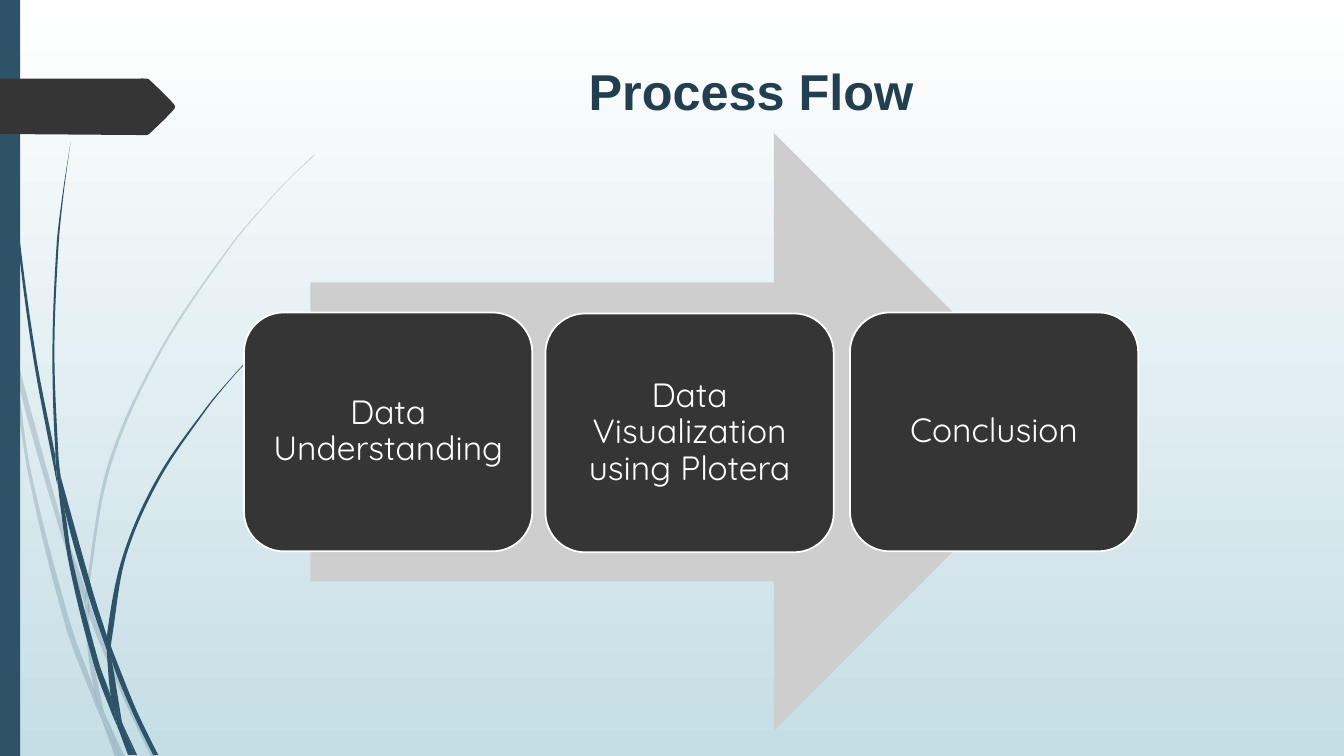
from math import dist
from lxml.etree import SubElement
from pptx import Presentation
from pptx.dml.color import RGBColor
from pptx.enum.shapes import MSO_SHAPE
from pptx.enum.text import MSO_ANCHOR, MSO_AUTO_SIZE, PP_ALIGN
from pptx.oxml.ns import qn
from pptx.util import Inches, Pt

COLS, ROWS = 13.33, 7.5
WIDE, HIGH = Inches(COLS), Inches(ROWS)
BLUE, DARK, GREY, WHITE = "2E5369", "353535", "CECECE", "FFFFFF"

CARDS = [
    (2.42, 3.1, "Data Understanding"),
    (5.41, 3.11, "Data Visualization using Plotera"),
    (8.43, 3.1, "Conclusion"),
]

PALE = [
    [(0.11, 3.5), (0.09, 3.22), (0, 2.82), (0, 2.99), (0.1, 3.44)],
    [(0.58, 5.22), (0.84, 5.99), (0.85, 5.86), (0.62, 5.2), (0.14, 3.45),
     (0.17, 3.76)],
    [(0.92, 6.07), (0.88, 5.96), (0.88, 6.1), (1.23, 6.94), (1.5, 7.51),
     (1.55, 7.51), (1.27, 6.92)],
    [(1.19, 7.51), (1.24, 7.51), (1.05, 7.11)],
    [(0.93, 6.83), (0.7, 6.19), (0.31, 4.69), (0.17, 3.76), (0.11, 3.5),
     (0.28, 4.7), (0.65, 6.21), (0.92, 6.93), (1.01, 7.14), (0.99, 7.07)],
    [(0.84, 5.99), (0.87, 6.46), (0.93, 6.83), (0.96, 6.92), (1.05, 7.11),
     (1.03, 7.06), (0.91, 6.46), (0.88, 6.1), (0.88, 6.08)],
    [(0.88, 5.84), (1.1, 4.62), (1.6, 3.49), (2.29, 2.45), (2.68, 1.98),
     (2.9, 1.75), (3.12, 1.54), (3.12, 1.53), (2.89, 1.75), (2.68, 1.97),
     (2.28, 2.44), (1.58, 3.48), (1.07, 4.61), (0.85, 5.84), (0.85, 5.86),
     (0.88, 5.96)],
    [(1.01, 7.14), (1.14, 7.51), (1.19, 7.51)],
    [(0.88, 6.08), (0.88, 6.1), (0.88, 5.96), (0.85, 5.86), (0.84, 5.99)],
    [(0.96, 6.92), (0.93, 6.83), (0.99, 7.07), (1.01, 7.14), (1.19, 7.51),
     (1.05, 7.11)],
]
DEEP = [
    [(0.07, 1.1), (0.17, 2.33), (0.33, 3.55), (0.56, 4.77), (0.57, 4.81),
     (0.55, 4.57), (0.55, 4.53), (0.36, 3.55), (0.19, 2.32), (0.08, 1.09),
     (0.05, 0.48), (0.04, 0), (0.03, 0), (0.04, 0.48)],
    [(0.88, 5.92), (1.06, 6.45), (1.06, 6.33), (1.06, 6.31), (0.93, 5.9),
     (0.6, 4.72), (0.64, 5.05)],
    [(1.13, 6.49), (1.1, 6.41), (1.11, 6.56), (1.32, 7.08), (1.52, 7.49),
     (1.57, 7.49), (1.36, 7.06)],
    [(1.1, 6.91), (0.98, 6.57), (0.72, 5.56), (0.64, 5.05), (0.57, 4.77),
     (0.68, 5.57), (0.93, 6.59), (1.11, 7.08), (1.17, 7.22), (1.16, 7.17)],
    [(0.6, 4.72), (0.58, 4.53), (0.54, 3.49), (0.58, 2.45), (0.63, 1.93),
     (0.7, 1.41), (0.62, 1.93), (0.56, 2.45), (0.52, 3.49), (0.55, 4.49)],
    [(1.33, 7.49), (1.36, 7.49), (1.22, 7.19)],
    [(0.57, 4.77), (0.64, 5.05), (0.6, 4.72), (0.55, 4.49), (0.55, 4.53)],
    [(1.11, 6.33), (1.25, 5.52), (1.58, 4.76), (2.05, 4.06), (2.31, 3.74),
     (2.45, 3.59), (2.61, 3.44), (2.6, 3.44), (2.45, 3.58), (2.31, 3.73),
     (2.04, 4.05), (1.56, 4.74), (1.22, 5.51), (1.06, 6.31), (1.1, 6.41)],
    [(1.17, 7.22), (1.27, 7.49), (1.31, 7.49)],
    [(1.06, 6.45), (1.1, 6.91), (1.16, 7.06), (1.22, 7.19), (1.21, 7.16),
     (1.11, 6.56), (1.09, 6.51)],
    [(1.06, 6.45), (1.09, 6.51), (1.11, 6.56), (1.1, 6.41), (1.06, 6.31),
     (1.06, 6.33)],
    [(1.16, 7.06), (1.1, 6.91), (1.16, 7.17), (1.17, 7.22), (1.3, 7.49),
     (1.33, 7.49), (1.22, 7.19)],
]
TAG = [(1.73, 1.08), (1.48, 1.33), (1.46, 1.34), (1.36, 1.34), (0, 1.33),
       (0, 0.78), (1.36, 0.78), (1.46, 0.78), (1.48, 0.79), (1.73, 1.04)]


def col(n):
    return round(WIDE * n / COLS)


def row(n):
    return round(HIGH * n / ROWS)


def tint(target, code):
    target.rgb = RGBColor.from_string(code)


def paint(shape, code, alpha=None):
    shape.shadow.inherit = False
    shape.fill.solid()
    tint(shape.fill.fore_color, code)
    shape.line.fill.background()
    if alpha:
        clr = shape.fill._xPr.find(qn("a:solidFill"))[0]
        SubElement(clr, qn("a:alpha")).set("val", str(alpha * 1000))


def block(slide, kind, x, y, w, h, code):
    shape = slide.shapes.add_shape(kind, col(x), row(y), col(w), row(h))
    paint(shape, code)
    return shape


def write(frame, text, size, font, code, bold=False):
    para = frame.paragraphs[0]
    para.alignment = PP_ALIGN.CENTER
    run = para.add_run()
    run.text = text
    run.font.size, run.font.name, run.font.bold = Pt(size), font, bold
    tint(run.font.color, code)
    return para


def unit(a, b):
    span = dist(a, b) or 1
    return (b[0] - a[0]) / span, (b[1] - a[1]) / span


def slope(a, b, c):
    (ax, ay), (bx, by) = unit(a, b), unit(b, c)
    return unit(a, c) if ax * bx + ay * by > 0.5 else (0, 0)


def shift(spot, way, size):
    return spot[0] + way[0] * size, spot[1] + way[1] * size


def outline(slide, knots, code, alpha=None):
    edge = [(col(x), row(y)) for x, y in knots]
    pen = slide.shapes.build_freeform(*edge[0])
    pen.add_line_segments(edge[1:] + edge[:1], close=True)
    shape = pen.convert_to_shape()
    paint(shape, code, alpha)
    ways = [slope(edge[i - 1], spot, edge[(i + 1) % len(edge)])
            for i, spot in enumerate(edge)]
    lines = list(shape._element.iter(qn("a:lnTo")))
    for i, line in enumerate(lines):
        j = (i + 1) % len(edge)
        third = dist(edge[i], edge[j]) / 3
        bend = (shift(edge[i], ways[i], third), shift(edge[j], ways[j], -third))
        curve = line.makeelement(qn("a:cubicBezTo"))
        for x, y in (*bend, edge[j]):
            spot = SubElement(curve, qn("a:pt"))
            spot.set("x", str(round(x - shape.left)))
            spot.set("y", str(round(y - shape.top)))
        line.getparent().replace(line, curve)


def card(slide, x, y, text):
    shape = block(slide, MSO_SHAPE.ROUNDED_RECTANGLE, x, y, 2.86, 2.37, DARK)
    tint(shape.line.color, WHITE)
    shape.line.width = Pt(1.25)
    frame = shape.text_frame
    frame.word_wrap = True
    frame.vertical_anchor = MSO_ANCHOR.MIDDLE
    frame.margin_left = frame.margin_right = col(0.1)
    frame.margin_top = frame.margin_bottom = row(0.1)
    write(frame, text, 24, "Quicksand", WHITE).line_spacing = 0.9


def heading(slide, text):
    title = slide.shapes.title
    title.left, title.top = col(4.87), row(0.55)
    title.width, title.height = col(5.16), row(0.71)
    frame = title.text_frame
    frame.word_wrap = True
    frame.auto_size = MSO_AUTO_SIZE.NONE
    frame.vertical_anchor = MSO_ANCHOR.TOP
    write(frame, text, 36, "Arial", "233E4F", True)


def backdrop(slide):
    fill = slide.background.fill
    fill.gradient()
    fill.gradient_angle = 270
    for stop, code, spot in zip(fill.gradient_stops, (WHITE, "C5DEE5"), (0, 1)):
        tint(stop.color, code)
        stop.position = spot


def main():
    deck = Presentation()
    deck.slide_width, deck.slide_height = WIDE, HIGH
    slide = deck.slides.add_slide(deck.slide_layouts[5])
    backdrop(slide)
    for knots in PALE:
        outline(slide, knots, BLUE, 20)
    for knots in DEEP:
        outline(slide, knots, BLUE)
    block(slide, MSO_SHAPE.RECTANGLE, 0, 0, 0.2, ROWS, BLUE)
    outline(slide, TAG, DARK)
    block(slide, MSO_SHAPE.RIGHT_ARROW, 3.08, 1.32, 7.56, 5.93, GREY)
    for item in CARDS:
        card(slide, *item)
    heading(slide, "Process Flow")
    deck.save("out.pptx")


if __name__ == "__main__":
    main()
